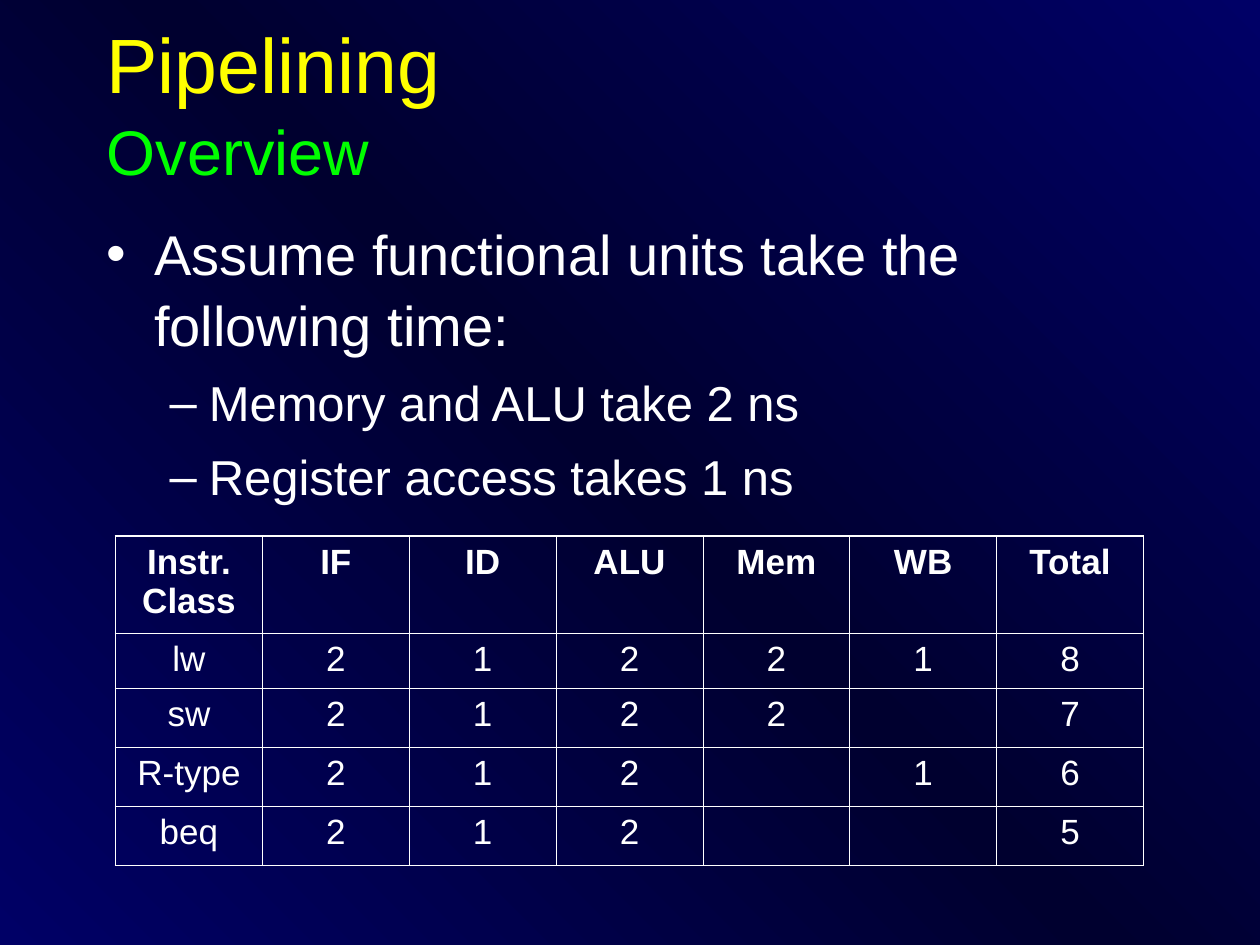
"""Build the pipelining overview slide with its instruction timing table."""
from copy import deepcopy

from lxml.etree import SubElement
from pptx import Presentation
from pptx.dml.color import RGBColor as RGB
from pptx.enum.text import MSO_ANCHOR as Anchor, PP_ALIGN as Align
from pptx.oxml.ns import qn
from pptx.util import Cm, Pt

COLORS = {"edge": "000066", "middle": "00002F", "title": "FFFF00",
          "subtitle": "00FF00", "text": "FFFFFF"}


def style(font, size, color, bold=False):
    font.name = "Arial"
    font.size = Pt(size)
    font.bold = bold
    font.color.rgb = RGB.from_string(COLORS[color])


def add_color(parent, color):
    SubElement(parent, qn("a:srgbClr"), val=COLORS[color])


prs = Presentation()
prs.slide_width, prs.slide_height = Cm(25.4), Cm(19.05)
slide = prs.slides.add_slide(prs.slide_layouts[6])

backdrop = slide.background.fill
backdrop.gradient()
backdrop.gradient_angle = 45
for stop, position, color in zip(backdrop.gradient_stops, (0, 0.5), ("edge", "middle")):
    stop.position = position
    stop.color.rgb = RGB.from_string(COLORS[color])
stops = next(slide.element.iter(qn("a:gsLst")))
last_stop = deepcopy(stops[0])
last_stop.set("pos", "100000")
stops.append(last_stop)

heading = slide.shapes.add_textbox(Cm(1.9), Cm(0.43), Cm(21.6), Cm(3.18)).text_frame
heading.word_wrap = True
heading.vertical_anchor = Anchor.MIDDLE
heading.text = "Pipelining\vOverview"
heading.paragraphs[0].line_spacing = 1.05
title, subtitle = heading.paragraphs[0].runs
style(title.font, 44, "title")
style(subtitle.font, 36, "subtitle")

assumptions = [
    ("Assume functional units take the following time:", 0, "•", 32, 0.96, 0.96, 0),
    ("Memory and ALU take 2 ns", 1, "–", 28, 2.06, 0.79, 7),
    ("Register access takes 1 ns", 1, "–", 28, 2.06, 0.79, 7),
]
body = slide.shapes.add_textbox(Cm(1.9), Cm(4.24), Cm(21.6), Cm(6.15)).text_frame
body.word_wrap = True
body.text = "\n".join(row[0] for row in assumptions)
for point, (_, level, mark, size, margin, hanging, before) in zip(body.paragraphs, assumptions):
    point.level = level
    point.line_spacing = 1.05
    point.space_before = Pt(before)
    properties = point._p.get_or_add_pPr()
    properties.set("marL", str(Cm(margin)))
    properties.set("indent", str(-Cm(hanging)))
    add_color(SubElement(properties, qn("a:buClr")), "text")
    SubElement(properties, qn("a:buFont"), typeface="Arial")
    SubElement(properties, qn("a:buChar"), char=mark)
    style(point.runs[0].font, size, "text")

timings = [
    ("Instr.\vClass", "IF", "ID", "ALU", "Mem", "WB", "Total"),
    ("lw", "2", "1", "2", "2", "1", "8"),
    ("sw", "2", "1", "2", "2", "", "7"),
    ("R-type", "2", "1", "2", "", "1", "6"),
    ("beq", "2", "1", "2", "", "", "5"),
]
heights = (1.96, 1.11, 1.19, 1.19, 1.19)
last_row, last_column = len(timings) - 1, len(timings[0]) - 1
table = slide.shapes.add_table(len(timings), len(timings[0]), Cm(2.33), Cm(10.81),
                               Cm(20.75), Cm(sum(heights))).table
table.first_row = table.horz_banding = False
for column in table.columns:
    column.width = Cm(2.96)
for r, (values, height) in enumerate(zip(timings, heights)):
    table.rows[r].height = Cm(height)
    for c, value in enumerate(values):
        cell = table.cell(r, c)
        cell.text = value
        entry = cell.text_frame.paragraphs[0]
        entry.alignment = Align.CENTER
        style(entry.font, 20, "text", r == 0)
        for run in entry.runs:
            style(run.font, 20, "text", r == 0)
        outer = {"L": c == 0, "R": c == last_column, "T": r == 0, "B": r == last_row}
        borders = cell._tc.get_or_add_tcPr()
        for side, on_rim in outer.items():
            line = SubElement(borders, qn(f"a:ln{side}"), w=str(Pt(1.08 if on_rim else 0.45)))
            add_color(SubElement(line, qn("a:solidFill")), "text")
        cell.fill.background()

prs.save("out.pptx")
